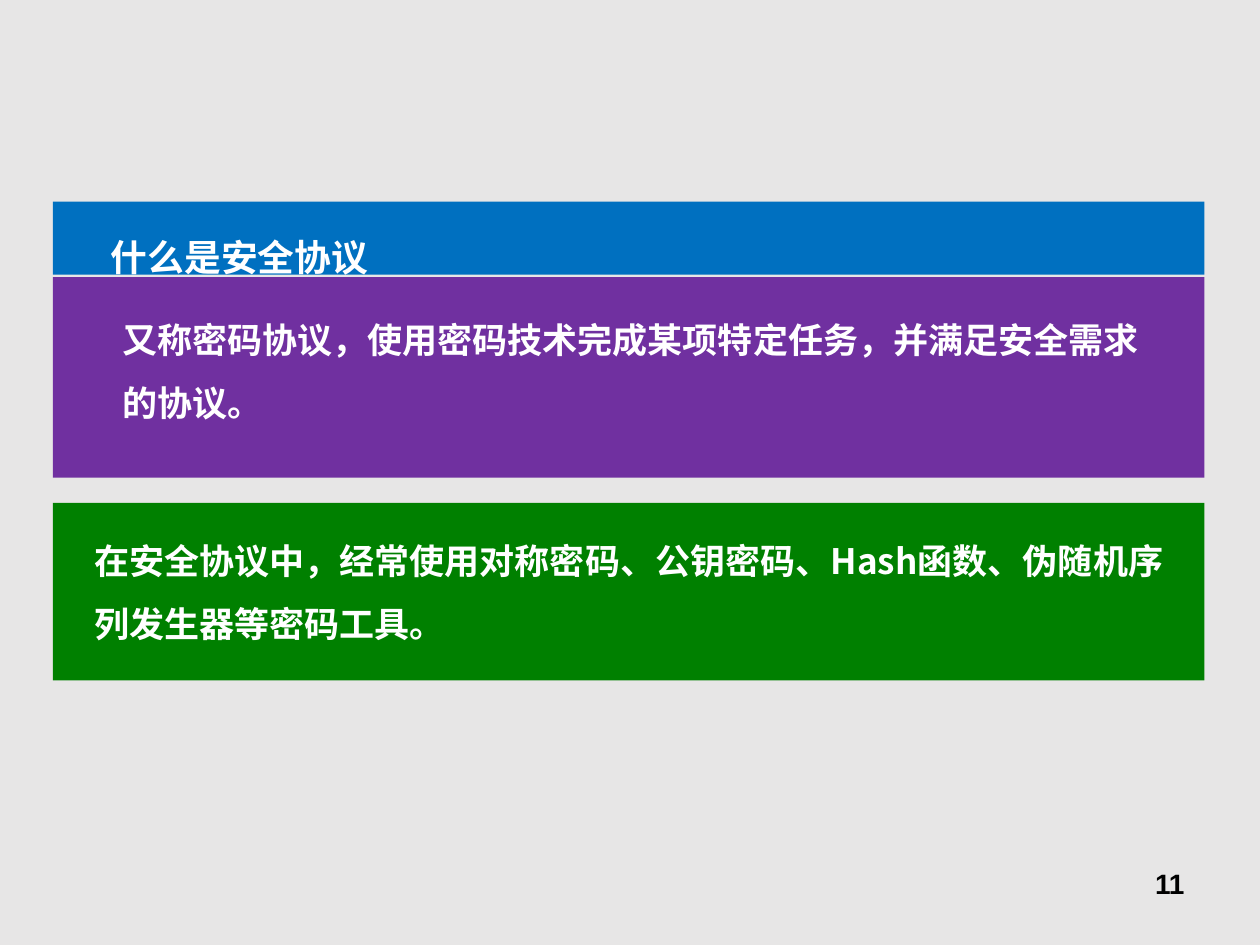
"""Build a slide that defines security protocols in three coloured bands."""
from lxml import etree
from pptx import Presentation
from pptx import util as u
from pptx.dml.color import RGBColor
from pptx.enum import shapes, text
from pptx.oxml.ns import qn

WIDTH, HEIGHT = 10, 7.5
BAND_LEFT, BAND_WIDTH = 0.42, 9.14
CJK = "Noto Sans CJK SC"
COLORS = {
    "background": "E7E6E6", "definition": "7030A0", "heading": "0070C0",
    "tools": "008000", "light": "FFFFFF", "dark": "000000",
}
BANDS = [
    {"name": "definition", "top": 2.2, "height": 1.59, "box": (0.87, 2.31, 8.49, 1.1), "size": 20,
     "text": "又称密码协议，使用密码技术完成某项特定任务，并满足安全需求的协议。"},
    {"name": "heading", "top": 1.6, "height": 0.58, "box": (0.78, 1.64, 8.42, 0.63), "size": 21,
     "text": "什么是安全协议"},
    {"name": "tools", "top": 3.99, "height": 1.41, "box": (0.65, 4.07, 8.73, 1.1), "size": 20,
     "text": "在安全协议中，经常使用对称密码、公钥密码、Hash函数、伪随机序列发生器等密码工具。"},
]
PAGE = {"text": "11", "box": (7.17, 6.83, 2.33, 0.52), "size": 16}


def color(name):
    return RGBColor.from_string(COLORS[name])


def place(sp, box):
    sp.left, sp.top, sp.width, sp.height = map(u.Inches, box)


def write(sp, item, font, ink, align, spacing):
    place(sp, item["box"])
    tf = sp.text_frame
    tf.text = item["text"]
    tf.word_wrap = True
    tf.auto_size = text.MSO_AUTO_SIZE.NONE
    tf.vertical_anchor = text.MSO_ANCHOR.TOP
    p = tf.paragraphs[0]
    p.alignment, p.line_spacing = align, spacing
    f = p.font
    f.name, f.size, f.bold = font, u.Pt(item["size"]), True
    f.color.rgb = color(ink)
    latin = p._p.pPr.find(qn("a:defRPr")).find(qn("a:latin"))
    ea = etree.Element(qn("a:ea"), typeface=font)
    latin.addnext(ea)


def add_band(s, band):
    sp = s.shapes.add_shape(shapes.MSO_SHAPE.RECTANGLE, *map(
        u.Inches, (BAND_LEFT, band["top"], BAND_WIDTH, band["height"])))
    sp.shadow.inherit = False
    sp.fill.solid()
    sp.fill.fore_color.rgb = color(band["name"])
    sp.line.fill.background()
    if band["name"] == "heading":
        label = s.shapes.title
        s.shapes._spTree.append(label._element)
    else:
        label = s.shapes.add_textbox(0, 0, 0, 0)
    write(label, band, CJK, "light", text.PP_ALIGN.LEFT, 1.5)


def main():
    prs = Presentation()
    prs.slide_width, prs.slide_height = u.Inches(WIDTH), u.Inches(HEIGHT)
    s = prs.slides.add_slide(prs.slide_layouts[5])
    s.background.fill.solid()
    s.background.fill.fore_color.rgb = color("background")
    write(s.shapes.add_textbox(0, 0, 0, 0), PAGE, "Arial", "dark", text.PP_ALIGN.RIGHT, 1.0)
    for band in BANDS:
        add_band(s, band)
    prs.save("out.pptx")


if __name__ == "__main__":
    main()
